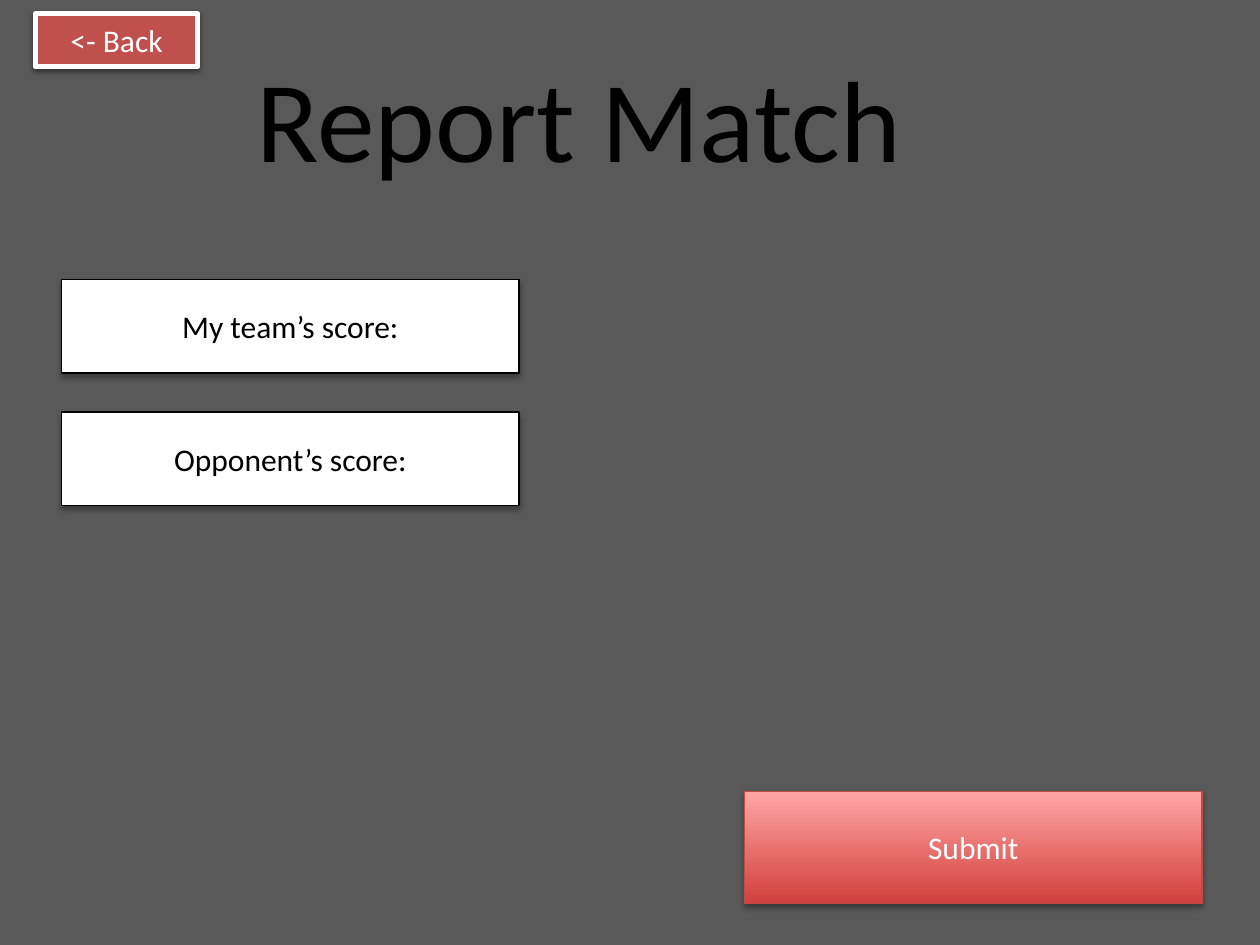
import lxml.etree
import pptx
import pptx.dml.color
import pptx.enum.shapes
import pptx.enum.text
import pptx.oxml.ns
import pptx.util

Inches = pptx.util.Inches
Pt = pptx.util.Pt
qualified_name = pptx.oxml.ns.qn

COLORS = {
    "background": "595959",
    "black": "000000",
    "white": "FFFFFF",
    "back": "C0504D",
    "submit_bottom": "D1403C",
    "submit_top": "FFA6A5",
    "submit_line": "BF4C48",
}


def color(name):
    return pptx.dml.color.RGBColor.from_string(COLORS[name])


def write_text(shape, text, size=18, font_color="black", align="CENTER", anchor="MIDDLE"):
    frame = shape.text_frame
    frame.word_wrap = True
    frame.vertical_anchor = getattr(pptx.enum.text.MSO_ANCHOR, anchor)
    paragraph = frame.paragraphs[0]
    paragraph.alignment = getattr(pptx.enum.text.PP_ALIGN, align)
    run = paragraph.add_run()
    run.text = text
    run.font.name = "Calibri"
    run.font.size = Pt(size)
    run.font.color.rgb = color(font_color)


def add_shadow(shape, opacity, distance):
    shape.shadow.inherit = False
    effects = shape._element.spPr.find(qualified_name("a:effectLst"))
    shadow = lxml.etree.SubElement(
        effects, qualified_name("a:outerShdw"), blurRad=str(Pt(3.1)),
        dist=str(Pt(distance)), dir="5400000", rotWithShape="0")
    shade = lxml.etree.SubElement(shadow, qualified_name("a:srgbClr"), val=COLORS["black"])
    lxml.etree.SubElement(shade, qualified_name("a:alpha"), val=str(opacity * 1000))


def add_box(slide, text, left, top, width, height, fills=("white",), line="black",
            line_width=0.75, font_color="black", opacity=35, distance=1.8):
    shape = slide.shapes.add_shape(
        pptx.enum.shapes.MSO_SHAPE.RECTANGLE,
        Inches(left), Inches(top), Inches(width), Inches(height))
    if len(fills) == 1:
        shape.fill.solid()
        shape.fill.fore_color.rgb = color(fills[0])
    else:
        shape.fill.gradient()
        shape.fill.gradient_angle = 90
        for stop, name in zip(shape.fill.gradient_stops, fills):
            stop.color.rgb = color(name)
    shape.line.color.rgb = color(line)
    shape.line.width = Pt(line_width)
    add_shadow(shape, opacity, distance)
    write_text(shape, text, font_color=font_color)


def add_title(slide, text):
    title = slide.shapes.add_textbox(Inches(1.94), Inches(0.32), Inches(6.94), Inches(1.21))
    write_text(title, text, size=66, align="LEFT", anchor="TOP")
    title.text_frame.auto_size = pptx.enum.text.MSO_AUTO_SIZE.SHAPE_TO_FIT_TEXT


def main():
    presentation = pptx.Presentation()
    presentation.slide_width = Inches(10)
    presentation.slide_height = Inches(7.5)
    slide = presentation.slides.add_slide(presentation.slide_layouts[6])
    slide.background.fill.solid()
    slide.background.fill.fore_color.rgb = color("background")

    add_title(slide, "Report Match")
    for index, label in enumerate(("My team’s score:", "Opponent’s score:")):
        add_box(slide, label, 0.49, 2.22 + 1.05 * index, 3.63, 0.74)
    add_box(slide, "Submit", 5.91, 6.28, 3.63, 0.89,
            fills=("submit_bottom", "submit_top"), line="submit_line", font_color="white")
    add_box(slide, "<- Back", 0.28, 0.11, 1.29, 0.42, fills=("back",), line="white",
            line_width=3, font_color="white", opacity=38, distance=1.6)
    presentation.save("out.pptx")


main()
